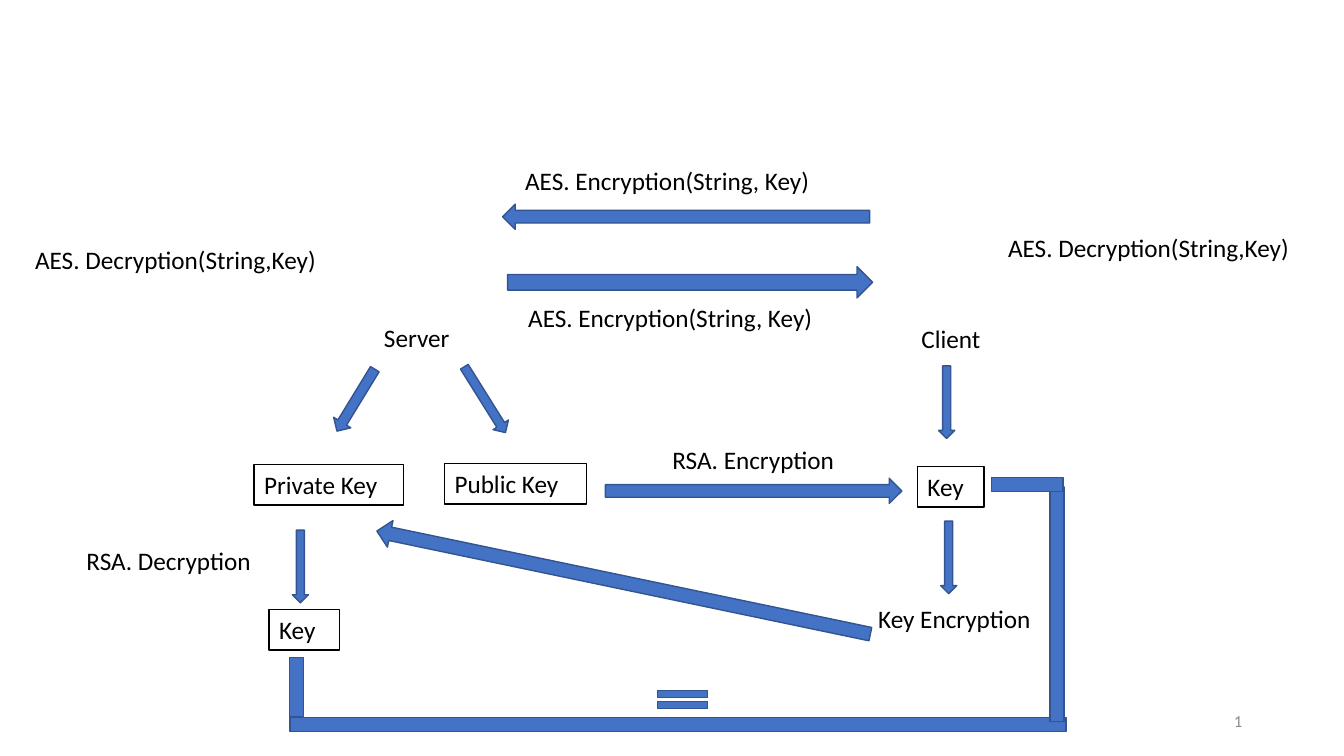
from pptx import Presentation
from pptx.dml.color import RGBColor
from pptx.enum.shapes import MSO_SHAPE as Shape
from pptx.enum.text import MSO_ANCHOR as Anchor, PP_ALIGN as Align
from pptx.util import Inches, Pt


def color(value):
    return RGBColor.from_string(value)


def write(box, text, size=18, shade="000000", align=Align.LEFT, anchor=Anchor.TOP):
    frame = box.text_frame
    frame.word_wrap = True
    frame.vertical_anchor = anchor
    frame.text = text
    para = frame.paragraphs[0]
    para.alignment = align
    font = para.runs[0].font
    font.name = "Calibri"
    font.size = Pt(size)
    font.color.rgb = color(shade)


deck = Presentation()
deck.slide_width = Inches(13.33)
deck.slide_height = Inches(7.5)
page = deck.slides.add_slide(deck.slide_layouts[6])

key_boxes = [
    ("Public Key", 4.41, 4.6, 1.41),
    ("Private Key", 2.52, 4.61, 1.48),
    ("Key", 9.1, 4.63, 0.66),
    ("Key", 2.67, 6.05, 0.7),
]
for text, left, top, width in key_boxes:
    box = page.shapes.add_shape(
        Shape.RECTANGLE, Inches(left), Inches(top), Inches(width), Inches(0.4)
    )
    box.shadow.inherit = False
    box.fill.background()
    box.line.color.rgb = color("000000")
    box.line.width = Pt(1)
    write(box, text)

blue_shapes = [
    (Shape.DOWN_ARROW, 9.31, 3.63, 0.16, 0.72, 0),
    (Shape.DOWN_ARROW, 9.33, 5.17, 0.16, 0.72, 0),
    (Shape.DOWN_ARROW, 3.43, 3.61, 0.2, 0.72, 31.4),
    (Shape.DOWN_ARROW, 4.72, 3.58, 0.18, 0.77, 328),
    (Shape.DOWN_ARROW, 7.35, 3.4, 0.25, 2.94, 270),
    (Shape.DOWN_ARROW, 6.05, 3.28, 0.27, 5, 101.8),
    (Shape.DOWN_ARROW, 2.9, 5.26, 0.16, 0.72, 0),
    (Shape.MATH_MINUS, 1.49, 6.89, 10.47, 0.59, 0),
    (Shape.MATH_MINUS, 8.9, 5.7, 3.17, 0.59, 270),
    (Shape.MATH_MINUS, 9.71, 4.51, 0.96, 0.59, 0),
    (Shape.MATH_MINUS, 2.54, 6.52, 0.8, 0.59, 90),
    (Shape.MATH_EQUAL, 6.43, 6.79, 0.68, 0.3, 0),
    (Shape.DOWN_ARROW, 6.69, 0.99, 0.31, 3.62, 270),
    (Shape.DOWN_ARROW, 6.68, 0.33, 0.25, 3.64, 90),
]
for kind, left, top, width, height, angle in blue_shapes:
    mark = page.shapes.add_shape(
        kind, Inches(left), Inches(top), Inches(width), Inches(height)
    )
    mark.rotation = angle
    mark.shadow.inherit = False
    mark.fill.solid()
    mark.fill.fore_color.rgb = color("4472C4")
    mark.line.color.rgb = color("325491")
    mark.line.width = Pt(1)

labels = [
    ("Key Encryption", 8.54, 5.94, 1.85, 0.71, {"align": Align.CENTER}),
    ("RSA. Decryption", 0.76, 5.36, 2.13, 0.4, {}),
    ("Server", 3.71, 3.15, 1.18, 0.4, {}),
    ("Client", 9.04, 3.16, 0.87, 0.4, {}),
    ("RSA. Encryption", 6.57, 4.36, 2.16, 0.4, {}),
    ("AES. Encryption(String, Key)", 5.11, 1.59, 3.89, 0.4, {}),
    ("AES. Decryption(String,Key)", 9.9, 2.26, 3.66, 0.4, {}),
    ("AES. Decryption(String,Key)", 0.25, 2.37, 3.4, 0.4, {}),
    ("AES. Encryption(String, Key)", 5.14, 2.95, 3.89, 0.4, {}),
    ("1", 9.42, 6.95, 3, 0.4,
     {"size": 12, "shade": "8C8C8C", "align": Align.RIGHT, "anchor": Anchor.MIDDLE}),
]
for text, left, top, width, height, style in labels:
    label = page.shapes.add_textbox(
        Inches(left), Inches(top), Inches(width), Inches(height)
    )
    write(label, text, **style)

deck.save("out.pptx")
